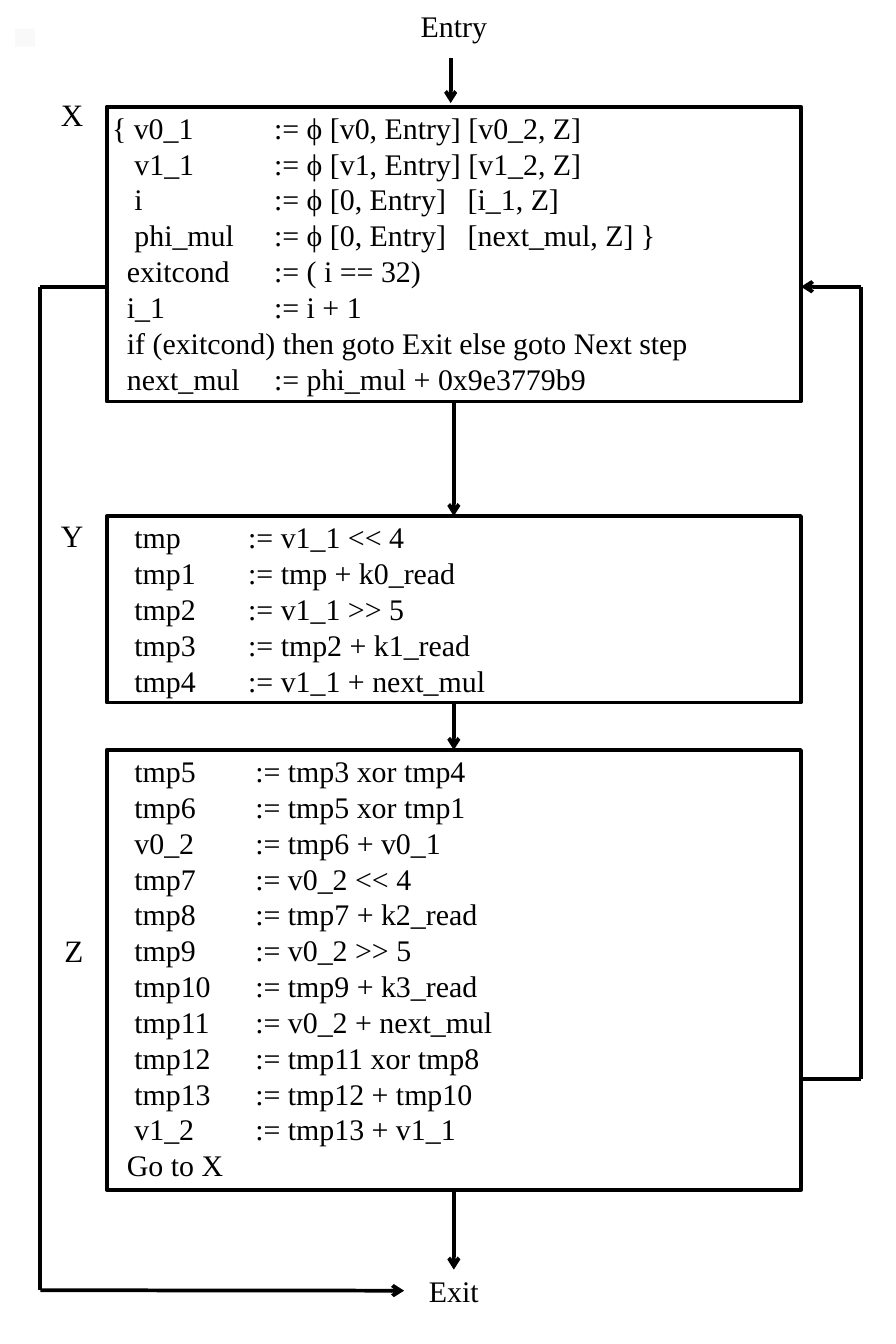
import pptx
import pptx.util
import pptx.dml.color
import pptx.enum.shapes
import pptx.enum.text
import pptx.oxml
import pptx.oxml.ns
from pptx.util import Inches, Pt

BLACK = pptx.dml.color.RGBColor(0x00, 0x00, 0x00)
PALE_GREY = pptx.dml.color.RGBColor(0xF9, 0xF9, 0xF9)
FONT = "Times New Roman"
BOX_LEFT, BOX_WIDTH = 1.19, 7.75
BOX_RIGHT = BOX_LEFT + BOX_WIDTH
TOP, LEFT, BOTTOM = 0, 1, 2
LEFT_RAIL, RIGHT_RAIL = 0.45, 9.61
LOOP_Y, GOTO_Y, EXIT_Y = 3.2, 12.04, 14.4

# Each block: label, label place, top, height, tab stops, code lines
BLOCKS = [
    ("X", (0.62, 1.03), 1.19, 3.29, (1.81, 3.97), [
        "{ v0_1\t:= ϕ [v0, Entry] [v0_2, Z]",
        "   v1_1\t:= ϕ [v1, Entry] [v1_2, Z]",
        "   i\t:= ϕ [0, Entry]\t[i_1, Z]",
        "   phi_mul\t:= ϕ [0, Entry]\t[next_mul, Z] }",
        "  exitcond\t:= ( i == 32)",
        "  i_1\t:= i + 1",
        "  if (exitcond) then goto Exit else goto Next step",
        "  next_mul\t:= phi_mul + 0x9e3779b9",
    ]),
    ("Y", (0.62, 5.73), 5.76, 2.08, (1.52,), [
        "   tmp\t:= v1_1 << 4",
        "   tmp1\t:= tmp + k0_read",
        "   tmp2\t:= v1_1 >> 5",
        "   tmp3\t:= tmp2 + k1_read",
        "   tmp4\t:= v1_1 + next_mul",
    ]),
    ("Z", (0.66, 10.37), 8.37, 4.91, (1.6,), [
        "   tmp5\t:= tmp3 xor tmp4",
        "   tmp6\t:= tmp5 xor tmp1",
        "   v0_2\t:= tmp6 + v0_1",
        "   tmp7\t:= v0_2 << 4",
        "   tmp8\t:= tmp7 + k2_read",
        "   tmp9\t:= v0_2 >> 5",
        "   tmp10\t:= tmp9 + k3_read",
        "   tmp11\t:= v0_2 + next_mul",
        "   tmp12\t:= tmp11 xor tmp8",
        "   tmp13\t:= tmp12 + tmp10",
        "   v1_2\t:= tmp13 + v1_1",
        "  Go to X",
    ]),
]


def add_tab_stops(p, stops):
    tabs = pptx.oxml.parse_xml(
        "<a:tabLst %s/>" % pptx.oxml.ns.nsdecls("a"))
    for stop in stops:
        tab = tabs.makeelement(pptx.oxml.ns.qn("a:tab"),
                               {"pos": str(Inches(stop)), "algn": "l"})
        tabs.append(tab)
    p._p.get_or_add_pPr().append(tabs)


def write_text(sp, lines, size=24, align=pptx.enum.text.PP_ALIGN.LEFT, stops=()):
    tf = sp.text_frame
    tf.word_wrap = True
    tf.vertical_anchor = pptx.enum.text.MSO_ANCHOR.TOP
    tf.margin_left = tf.margin_right = Inches(0.06)
    tf.margin_top = tf.margin_bottom = Inches(0.03)
    tf.text = "\n".join(lines)
    for p in tf.paragraphs:
        p.alignment = align
        p.line_spacing = Pt(1.2 * size)
        if stops:
            add_tab_stops(p, stops)
        for r in p.runs:
            r.font.name = FONT
            r.font.size = Pt(size)
            r.font.color.rgb = BLACK


def add_label(s, text, left, top, width, height, **style):
    sp = s.shapes.add_textbox(Inches(left), Inches(top), Inches(width), Inches(height))
    write_text(sp, [text], **style)
    return sp


def add_rect(s, left, top, width, height):
    sp = s.shapes.add_shape(pptx.enum.shapes.MSO_SHAPE.RECTANGLE, Inches(left),
                            Inches(top), Inches(width), Inches(height))
    sp.shadow.inherit = False
    return sp


def add_code_box(s, top, height, stops, lines):
    sp = add_rect(s, BOX_LEFT, top, BOX_WIDTH, height)
    sp.fill.background()
    sp.line.color.rgb = BLACK
    sp.line.width = Pt(3)
    write_text(sp, lines, stops=stops)
    return sp


def add_line(s, start=(0, 0), end=(0, 0), arrow=False):
    line = s.shapes.add_connector(pptx.enum.shapes.MSO_CONNECTOR.STRAIGHT,
                                  *map(Inches, start + end))
    line.line.color.rgb = BLACK
    line.line.width = Pt(3)
    if arrow:
        ln = line.line._get_or_add_ln()
        ln.append(ln.makeelement(pptx.oxml.ns.qn("a:tailEnd"), {"type": "arrow"}))
    sp_pr = line._element.spPr
    sp_pr.append(sp_pr.makeelement(pptx.oxml.ns.qn("a:effectLst"), {}))
    return line


def add_route(s, points):
    """Draw straight lines through the points, with an arrowhead on the last."""
    legs = list(zip(points, points[1:]))
    for start, end in legs:
        line = add_line(s, start, end, arrow=end == points[-1])
    return line


def main():
    prs = pptx.Presentation()
    prs.slide_width, prs.slide_height = Inches(10), Inches(15)
    s = prs.slides.add_slide(prs.slide_layouts[6])

    center = pptx.enum.text.PP_ALIGN.CENTER
    add_label(s, "Entry", 4.43, 0.06, 1.27, 0.47, align=center)
    exit_label = add_label(s, "Exit", 4.51, 14.17, 1.11, 0.47, align=center)

    steps = []
    for name, place, top, height, stops, lines in BLOCKS:
        steps.append(add_code_box(s, top, height, stops, lines))
        add_label(s, name, *place, 0.67, 0.48, size=25)
    steps.append(exit_label)

    add_line(s, (5.03, 0.65), (5.03, 1.15), arrow=True)
    for upper, lower in zip(steps, steps[1:]):
        line = add_line(s, arrow=True)
        line.begin_connect(upper, BOTTOM)
        line.end_connect(lower, TOP)

    exit_arrow = add_route(s, [(BOX_LEFT, LOOP_Y), (LEFT_RAIL, LOOP_Y),
                               (LEFT_RAIL, EXIT_Y), (4.51, EXIT_Y)])
    exit_arrow.end_connect(exit_label, LEFT)
    add_route(s, [(BOX_RIGHT, GOTO_Y), (RIGHT_RAIL, GOTO_Y),
                  (RIGHT_RAIL, LOOP_Y), (BOX_RIGHT, LOOP_Y)])

    corner = add_rect(s, 0.17, 0.32, 0.22, 0.2)
    corner.fill.solid()
    corner.fill.fore_color.rgb = PALE_GREY
    corner.line.fill.background()

    prs.save("out.pptx")


if __name__ == "__main__":
    main()
